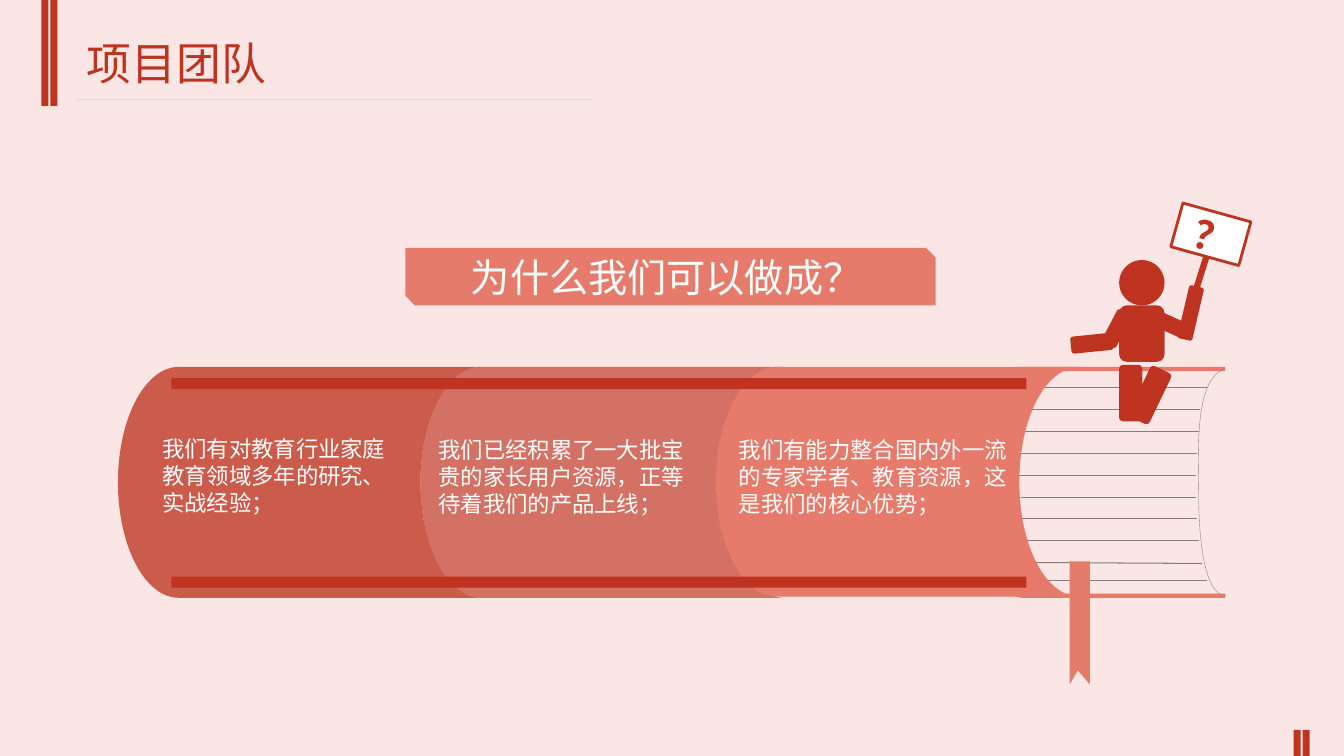
from dataclasses import dataclass
from typing import Optional

from lxml.etree import SubElement
from pptx import Presentation
from pptx.dml.color import RGBColor
from pptx.enum.shapes import MSO_CONNECTOR, MSO_SHAPE as Preset
from pptx.enum.text import MSO_ANCHOR, MSO_AUTO_SIZE, PP_ALIGN
from pptx.oxml.ns import qn
from pptx.util import Inches, Pt

BRICK = RGBColor(0xBF, 0x34, 0x20)
CORAL = RGBColor(0xE6, 0x7B, 0x6C)
BLUSH = RGBColor(0xF7, 0xD3, 0xCE)
WHITE = RGBColor(0xFF, 0xFF, 0xFF)
GRAY = RGBColor(0x80, 0x80, 0x80)
PALE_GRAY = RGBColor(0xD9, 0xD9, 0xD9)
HEADING_FONT = "Roboto Condensed"
BODY_FONT = "Arial"
Point = tuple[float, float]


@dataclass
class Box:
    left: float
    top: float
    width: float
    height: float
    rotation: float = 0

    def lengths(self) -> list[int]:
        return [Inches(v) for v in (self.left, self.top, self.width, self.height)]


@dataclass
class Part:
    box: Box
    preset: Preset = Preset.ROUNDED_RECTANGLE
    fill: RGBColor = BRICK
    opacity: int = 100
    outline: Optional[RGBColor] = None


@dataclass
class Rule:
    start: Point
    end: Point
    color: RGBColor = GRAY
    weight: float = 0.75


@dataclass
class Contour:
    start: Point
    pieces: list[tuple[Point, ...]]
    fill: Optional[RGBColor] = None
    outline: Optional[RGBColor] = None
    weight: float = 1


@dataclass
class Caption:
    text: str
    box: Box
    size: float
    color: RGBColor = WHITE
    font: str = HEADING_FONT
    bold: bool = False


def set_opacity(element, percent: int) -> None:
    color = next(element.iter(qn("a:srgbClr")))
    SubElement(color, qn("a:alpha")).set("val", str(percent * 1000))


def paint(shape, fill: Optional[RGBColor], outline: Optional[RGBColor], weight: float = 2) -> None:
    shape.shadow.inherit = False
    if fill is None:
        shape.fill.background()
    else:
        shape.fill.solid()
        shape.fill.fore_color.rgb = fill
    if outline is None:
        shape.line.fill.background()
    else:
        shape.line.color.rgb = outline
        shape.line.width = Pt(weight)


def draw_part(slide, part: Part) -> None:
    shape = slide.shapes.add_shape(part.preset, *part.box.lengths())
    shape.rotation = part.box.rotation
    paint(shape, part.fill, part.outline)
    if part.opacity < 100:
        set_opacity(shape.element.spPr, part.opacity)


def draw_rule(slide, rule: Rule) -> None:
    ends = [Inches(v) for v in (*rule.start, *rule.end)]
    line = slide.shapes.add_connector(MSO_CONNECTOR.STRAIGHT, *ends)
    line.line.color.rgb = rule.color
    line.line.width = Pt(rule.weight)
    SubElement(line.element.spPr, qn("a:effectLst"))


def draw_contour(slide, contour: Contour) -> None:
    builder = slide.shapes.build_freeform(*(Inches(v) for v in contour.start))
    corners = [(Inches(x), Inches(y)) for piece in contour.pieces for x, y in piece]
    builder.add_line_segments(corners, close=contour.fill is not None)
    shape = builder.convert_to_shape()
    steps = iter(list(shape.element.spPr.iter(qn("a:lnTo"))))
    for piece in contour.pieces:
        first, *others = [next(steps) for _ in piece]
        if others:
            first.tag = qn("a:cubicBezTo")
        for step in others:
            first.append(step[0])
            step.getparent().remove(step)
    paint(shape, contour.fill, contour.outline, contour.weight)


def write(shape, caption: Caption, anchor: MSO_ANCHOR) -> None:
    shape.left, shape.top, shape.width, shape.height = caption.box.lengths()
    shape.rotation = caption.box.rotation
    frame = shape.text_frame
    frame.text = caption.text
    frame.word_wrap = True
    frame.auto_size = MSO_AUTO_SIZE.NONE
    frame.vertical_anchor = anchor
    paragraph = frame.paragraphs[0]
    paragraph.alignment = PP_ALIGN.LEFT
    font = paragraph.runs[0].font
    font.name, font.size, font.bold = caption.font, Pt(caption.size), caption.bold
    font.color.rgb = caption.color


def write_body(placeholder, caption: Caption) -> None:
    write(placeholder, caption, MSO_ANCHOR.MIDDLE)
    properties = placeholder.text_frame.paragraphs[0]._p.get_or_add_pPr()
    properties.set("marL", "0")
    properties.set("indent", "0")
    SubElement(properties, qn("a:buNone"))
    placeholder.element.getparent().append(placeholder.element)


HEADER_BARS = [Part(Box(x, y, 0.07, h), Preset.RECTANGLE)
               for x, y, h in ((0.41, 0, 1.05), (0.5, 0, 1.05), (12.83, 7.24, 0.26), (12.92, 7.24, 0.26))]
BANNER = Part(Box(4.02, 2.46, 5.26, 0.57), Preset.SNIP_2_DIAG_RECTANGLE, CORAL)
PAGE_LINES = [Rule((left, y), (right, y)) for left, y, right in (
    (10.36, 3.84, 11.97), (10.11, 4.06, 11.9), (10.11, 4.28, 11.89), (10.11, 4.5, 11.87),
    (10.11, 4.72, 11.86), (10.13, 4.94, 11.86), (10.13, 5.14, 11.87), (10.13, 5.36, 11.89),
    (10.18, 5.76, 11.97))] + [Rule((10.13, 5.58), (11.92, 5.59))]
SPINE_SECTIONS = [Part(Box(x, 3.64, 3.6, 2.29), Preset.FLOWCHART_STORED_DATA, BRICK, opacity)
                  for x, opacity in ((1.17, 78), (4.17, 65))]
SPINE_BANDS = [Part(Box(1.7, y, 8.48, 0.11), Preset.RECTANGLE) for y in (3.75, 5.72)]
REASONS = [Caption(text, box, 16, font=BODY_FONT) for text, box in (
    ("我们有能力整合国内外一流的专家学者、教育资源，这是我们的核心优势；", Box(7.23, 4.28, 2.9, 0.91)),
    ("我们有对教育行业家庭教育领域多年的研究、实战经验；", Box(1.51, 4.27, 2.57, 0.91)),
    ("我们已经积累了一大批宝贵的家长用户资源，正等待着我们的产品上线；", Box(4.25, 4.28, 2.75, 0.91)),
)]
BOOK_EDGE = Contour((12.15, 3.66), [
    ((10.13, 3.66),),
    ((9.93, 3.66), (9.78, 4.04), (9.75, 4.57)),
    ((9.74, 4.71), (9.74, 4.86), (9.75, 5)),
    ((9.78, 5.53), (9.95, 5.91), (10.14, 5.91)),
    ((12.15, 5.91),)], outline=CORAL, weight=3)
CORAL_SECTION = Contour((7.7, 3.64), [
    ((10.71, 3.64),),
    ((10.37, 3.64), (10.11, 4.15), (10.11, 4.78)),
    ((10.11, 5.41), (10.37, 5.92), (10.71, 5.92)),
    ((7.7, 5.92),),
    ((7.42, 5.92), (7.17, 5.53), (7.11, 5)),
    ((7.1, 4.85), (7.1, 4.71), (7.11, 4.56)),
    ((7.17, 4.03), (7.42, 3.64), (7.7, 3.64))], fill=CORAL)
PAGE_EDGE = Contour((12.16, 5.91), [
    ((11.94, 5.91), (11.89, 5.31), (11.89, 4.94)),
    ((11.89, 4.56), (11.83, 3.76), (12.15, 3.66))], outline=GRAY, weight=0.25)
RIBBON = Contour((10.81, 6.79), [
    ((10.81, 5.57),), ((10.61, 5.57),), ((10.61, 6.79),), ((10.69, 6.65),)], fill=CORAL)
FIGURE = [Part(Box(11.1, 2.58, 0.45, 0.45), Preset.OVAL)] + [Part(Box(*limb)) for limb in (
    (11.1, 3.62, 0.23, 0.56), (11.29, 3.64, 0.23, 0.56, 25.7), (11.1, 3.03, 0.45, 0.56),
    (11.42, 3.14, 0.37, 0.16, 24.4), (11.54, 3.03, 0.54, 0.15, 103.1),
    (10.89, 3.18, 0.37, 0.16, 117.7), (10.62, 3.32, 0.42, 0.17, 174.3))]
SIGN = Part(Box(11.66, 2.1, 0.7, 0.45, 15.5), Preset.RECTANGLE, WHITE, outline=BRICK)


def main() -> None:
    deck = Presentation()
    deck.slide_width, deck.slide_height = Inches(13.33), Inches(7.5)
    slide = deck.slides.add_slide(deck.slide_layouts[3])
    slide.background.fill.solid()
    slide.background.fill.fore_color.rgb = BLUSH
    set_opacity(slide.element, 55)
    heading, question, sign_mark = slide.placeholders

    for part in (*HEADER_BARS, BANNER):
        draw_part(slide, part)
    write(heading, Caption("项目团队", Box(0.76, 0.3, 8.67, 0.64), 32, BRICK), MSO_ANCHOR.MIDDLE)
    write_body(question, Caption("为什么我们可以做成？", Box(4.57, 2.46, 4.17, 0.57), 28))
    draw_rule(slide, Rule((0.76, 0.99), (5.88, 0.99), PALE_GRAY))
    draw_rule(slide, Rule((11.98, 2.5), (11.87, 2.85), BRICK, 4.5))

    draw_contour(slide, BOOK_EDGE)
    for page_line in PAGE_LINES:
        draw_rule(slide, page_line)
    for section in SPINE_SECTIONS:
        draw_part(slide, section)
    draw_contour(slide, CORAL_SECTION)
    for reason in REASONS:
        write(slide.shapes.add_textbox(*reason.box.lengths()), reason, MSO_ANCHOR.TOP)
    draw_contour(slide, PAGE_EDGE)
    for band in SPINE_BANDS:
        draw_part(slide, band)
    draw_contour(slide, RIBBON)

    for part in (*FIGURE, SIGN):
        draw_part(slide, part)
    write_body(sign_mark, Caption("？", Box(11.74, 2.05, 0.53, 0.57, 15.6), 28, BRICK, bold=True))
    deck.save("out.pptx")


if __name__ == "__main__":
    main()
